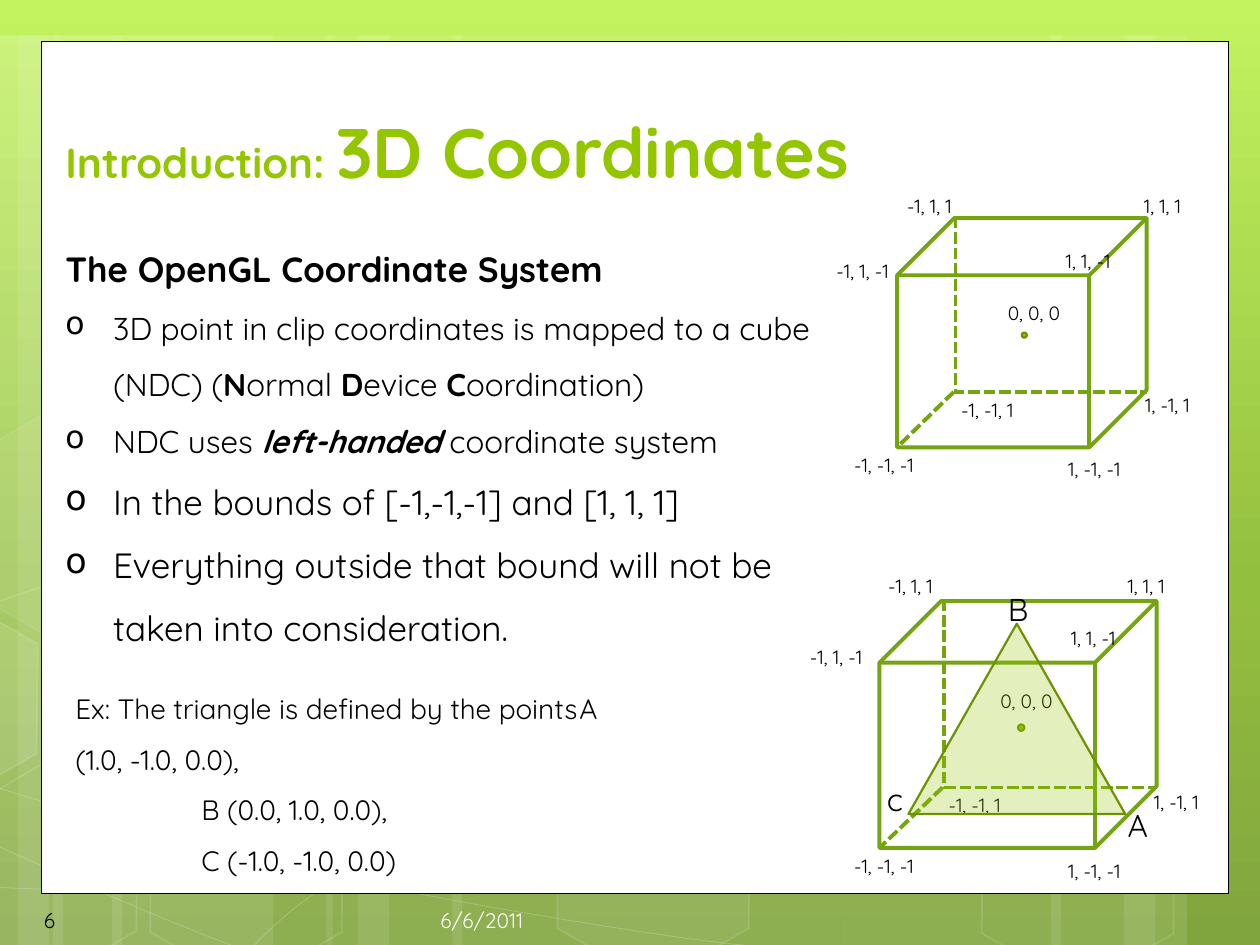
import copy
from dataclasses import dataclass
from typing import Optional

import pptx
import pptx.dml.color
import pptx.enum.dml
import pptx.enum.shapes
import pptx.enum.text
import pptx.oxml.ns
import pptx.util
from pptx.util import Inches

COLORS = {
    "white": "FFFFFF", "black": "000000", "date": "FEFEFE",
    "title": "94C600", "edge": "74A510", "outline": "6D9200",
    "sky": "C3F35F", "meadow": "93BF3F", "grass": "81A53E",
}
FONT = "Quicksand"
SHAPE = pptx.enum.shapes.MSO_SHAPE
CONNECTOR = pptx.enum.shapes.MSO_CONNECTOR
ANCHOR = pptx.enum.text.MSO_ANCHOR
ALIGN = pptx.enum.text.PP_ALIGN
SLIDE_W, SLIDE_H = 10, 7.5
STRIP_TOP = 0.28
HEX_W, HEX_H = 1.75, 1.52


@dataclass
class Run:
    text: str
    size: float
    bold: bool = False
    italic: bool = False
    color: str = "black"


@dataclass
class Para:
    runs: list[Run]
    bullet: bool = False
    spacing: Optional[float] = None
    align: Optional[int] = None


@dataclass
class Hexagon:
    left: float
    top: float
    fill_alpha: Optional[int] = None
    line_alpha: int = 12


@dataclass
class Label:
    text: str
    left: float
    top: float
    width: float
    size: float = 11


@dataclass
class Cube:
    left: float
    top: float
    width: float
    height: float
    back_corner: tuple[float, float]
    origin: tuple[float, float, float]
    labels: list[Label]
    triangle: Optional[tuple[float, float, float, float]] = None
    front_labels: tuple[Label, ...] = ()


def rgb(name: str) -> pptx.dml.color.RGBColor:
    return pptx.dml.color.RGBColor.from_string(COLORS[name])


def add_child(parent, tag: str, **attributes: str):
    child = parent.makeelement(pptx.oxml.ns.qn(tag), attributes)
    parent.append(child)
    return child


def set_alpha(shape, where: str, percent: int) -> None:
    color = shape._element.spPr.xpath(f"{where}a:solidFill/a:srgbClr")[0]
    add_child(color, "a:alpha", val=str(percent * 1000))


def paint(shape, fill: Optional[str] = None, line: Optional[str] = None, width: float = 1,
          fill_alpha: int = 100, line_alpha: int = 100) -> None:
    shape.shadow.inherit = False
    if fill:
        shape.fill.solid()
        shape.fill.fore_color.rgb = rgb(fill)
        if fill_alpha < 100:
            set_alpha(shape, "./", fill_alpha)
    else:
        shape.fill.background()
    if line:
        shape.line.color.rgb = rgb(line)
        shape.line.width = pptx.util.Pt(width)
        if line_alpha < 100:
            set_alpha(shape, "./a:ln/", line_alpha)
    else:
        shape.line.fill.background()


def add_shape(shapes, kind: int, left: float, top: float, width: float, height: float):
    return shapes.add_shape(kind, Inches(left), Inches(top), Inches(width), Inches(height))


def add_outline(shapes, points: list[tuple[float, float]], close: bool):
    emu = [(Inches(x), Inches(y)) for x, y in points]
    builder = shapes.build_freeform(*emu[0])
    builder.add_line_segments(emu[1:], close=close)
    return builder.convert_to_shape()


def add_curve(shapes, knots: list[tuple[float, float]]):
    sp = add_outline(shapes, knots, False)
    outline = sp._element.spPr.xpath(".//a:path")[0]
    segments = outline.xpath("./a:lnTo")
    for i in range(0, len(segments), 3):
        bezier = add_child(outline, "a:cubicBezTo")
        for segment in segments[i:i + 3]:
            bezier.append(segment[0])
            outline.remove(segment)
    return sp


def add_text(shapes, left: float, top: float, width: float, height: float,
             paras: list[Para], anchor: int = ANCHOR.TOP) -> None:
    tf = shapes.add_textbox(Inches(left), Inches(top), Inches(width), Inches(height)).text_frame
    tf.word_wrap = True
    tf.vertical_anchor = anchor
    for i, para in enumerate(paras):
        p = tf.add_paragraph() if i else tf.paragraphs[0]
        p.line_spacing = para.spacing
        p.alignment = para.align
        pPr = p._p.get_or_add_pPr()
        pPr.set("defTabSz", str(Inches(1)))
        if para.bullet:
            pPr.set("marL", str(Inches(0.38)))
            pPr.set("indent", str(-Inches(0.38)))
            add_child(pPr, "a:buChar", char="o")
        for run in para.runs:
            r = p.add_run()
            r.text = run.text
            r.font.name, r.font.size = FONT, pptx.util.Pt(run.size)
            r.font.bold, r.font.italic = run.bold, run.italic
            r.font.color.rgb = rgb(run.color)


def add_label(shapes, label: Label) -> None:
    height = 0.36 if label.size > 11 else 0.26
    add_text(shapes, label.left, label.top, label.width, height,
             [Para([Run(label.text, label.size)])])


def add_hidden_edge(shapes, kind: int, x1: float, y1: float, x2: float, y2: float):
    c = shapes.add_connector(kind, Inches(x1), Inches(y1), Inches(x2), Inches(y2))
    c.line.color.rgb = rgb("edge")
    c.line.width = pptx.util.Pt(2.25)
    c.line.dash_style = pptx.enum.dml.MSO_LINE.SQUARE_DOT
    add_child(c._element.spPr, "a:effectLst")
    return c


def add_cube(s, cube: Cube) -> None:
    shapes = s.shapes.add_group_shape().shapes
    paint(add_shape(shapes, SHAPE.CUBE, cube.left, cube.top, cube.width, cube.height),
          line="edge", width=2.25)
    back_x, back_y = cube.back_corner
    back = add_hidden_edge(shapes, CONNECTOR.ELBOW, back_x, cube.top,
                           cube.left + cube.width, back_y)
    guides = back._element.spPr.xpath("./a:prstGeom/a:avLst")[0]
    add_child(guides, "a:gd", name="adj1", fmla="val 900")
    add_hidden_edge(shapes, CONNECTOR.STRAIGHT, back_x, back_y, cube.left, cube.top + cube.height)
    for label in cube.labels:
        add_label(shapes, label)
    x, y, size = cube.origin
    paint(add_shape(shapes, SHAPE.OVAL, x, y, size, size), "title", "outline", 1.25)
    if cube.triangle:
        paint(add_shape(shapes, SHAPE.ISOSCELES_TRIANGLE, *cube.triangle),
              "title", "outline", 1.25, fill_alpha=26)
    for label in cube.front_labels:
        add_label(shapes, label)


STRIPS = [(0.42, 1.75), (0, 0.5), (0.89, 1.75), (0, 0.39), (0.14, 0.83), (6.67, 1.75),
          (8.92, 0.5), (8.34, 0.83), (3.59, 3.08), (2.59, 0.5), (2.84, 0.83)]
CURVES = [
    [(-0.59, 7.01), (-0.05, 7.04), (0.49, 7.08), (1.24, 7.06), (1.99, 7.05), (2.92, 7.03),
     (3.92, 6.93), (4.92, 6.83), (6.34, 6.64), (7.26, 6.45), (8.17, 6.26), (9.11, 5.96), (9.41, 5.79)],
    [(-0.59, 5.05), (-0.3, 4.9), (-0.01, 4.74), (0.55, 4.6), (1.12, 4.45), (1.93, 4.23),
     (2.81, 4.15), (3.7, 4.08), (4.78, 4.08), (5.88, 4.15), (6.98, 4.23), (8.81, 4.54), (9.41, 4.62)],
    [(-0.6, 6.45), (0.61, 7), (1.81, 7.55), (2.68, 7.78)],
    [(-0.59, 6.06), (-0.28, 6.17), (0.04, 6.28), (0.62, 6.44), (1.2, 6.6), (2.07, 6.84),
     (2.9, 7.01), (3.74, 7.18), (4.79, 7.36), (5.62, 7.47), (6.45, 7.57), (7.34, 7.61),
     (7.87, 7.65), (8.39, 7.68), (8.53, 7.66), (8.79, 7.66), (9.05, 7.66), (9.23, 7.64), (9.41, 7.62)],
    [(1.76, 7.78), (1.94, 7.58), (2.12, 7.38), (2.36, 7.19), (2.6, 7.01), (2.94, 6.81),
     (3.22, 6.67), (3.5, 6.54), (3.67, 6.48), (4.03, 6.37), (4.4, 6.27), (5.07, 6.13),
     (5.42, 6.06), (5.78, 6), (5.83, 6), (6.14, 5.97), (6.45, 5.95), (6.94, 5.92),
     (7.28, 5.91), (7.63, 5.9), (8.8, 5.9), (9.4, 5.95)],
]
HEXAGONS = [Hexagon(4.31, 6.17, 6), Hexagon(-0.55, 6.19), Hexagon(-0.52, 3.4, 7, 8),
            Hexagon(1.08, 6.2), Hexagon(7.68, 6.21)]
CUT_HEXAGON = [(-0.58, 4.73), (-0.47, 4.67), (0.3, 5.11), (0.29, 5.98), (-0.46, 6.42), (-0.58, 6.36)]
CUBES = [
    Cube(7.12, 1.73, 1.98, 1.82, (7.57, 3.11), (8.11, 2.64, 0.04), [
        Label("-1, -1, -1", 6.68, 3.55, 0.78), Label("1, -1, -1", 8.38, 3.58, 0.86),
        Label("1, -1, 1", 8.99, 3.07, 0.84), Label("-1, -1, 1", 7.53, 3.11, 0.75),
        Label("-1, 1, -1", 6.54, 2.01, 0.78), Label("-1, 1, 1", 7.1, 1.49, 0.81),
        Label("1, 1, 1", 8.98, 1.49, 0.85), Label("0, 0, 0", 7.9, 2.34, 0.86),
        Label("1, 1, -1", 8.36, 1.93, 0.74)]),
    Cube(6.98, 4.77, 2.2, 1.96, (7.48, 6.25), (8.08, 5.75, 0.05), [
        Label("-1, -1, -1", 6.68, 6.73, 1.04), Label("1, -1, -1", 8.38, 6.77, 0.96),
        Label("1, -1, 1", 9.06, 6.22, 0.86), Label("-1, -1, 1", 7.43, 6.25, 0.84),
        Label("-1, 1, -1", 6.33, 5.07, 0.9), Label("-1, 1, 1", 6.95, 4.51, 0.89),
        Label("1, 1, 1", 8.85, 4.51, 0.88), Label("0, 0, 0", 7.84, 5.42, 0.68)],
        (7.21, 4.95, 1.72, 1.51),
        (Label("A", 8.85, 6.35, 0.25, 18), Label("B", 7.9, 4.63, 0.52, 18),
         Label("c", 6.94, 6.14, 0.34, 18), Label("1, 1, -1", 8.4, 4.92, 0.75))),
]
BODY = [
    Para([Run("The OpenGL Coordinate System", 20, True)], spacing=1.5),
    Para([Run("3D point in clip coordinates is mapped to a cube (NDC) (", 18), Run("N", 18, True),
          Run("ormal ", 18), Run("D", 18, True), Run("evice ", 18), Run("C", 18, True),
          Run("oordination)", 18)], True, 1.5),
    Para([Run("NDC uses ", 18), Run("left-handed", 18, True, True),
          Run(" coordinate system", 18)], True, 1.5),
    Para([Run("In the bounds of [-1,-1,-1] and [1, 1, 1]", 20)], True, 1.5),
    Para([Run("Everything outside that bound will not be taken into consideration.", 20)], True, 1.5),
]
EXAMPLE = ["Ex: The triangle is defined by the points\tA (1.0, -1.0, 0.0),",
           "\tB (0.0, 1.0, 0.0),", "\tC (-1.0, -1.0, 0.0)"]


def add_background(s) -> None:
    fill = s.background.fill
    fill.gradient()
    fill.gradient_angle = 270
    stops = next(s._element.iter(pptx.oxml.ns.qn("a:gsLst")))
    stops.append(copy.deepcopy(stops[0]))
    for stop, (position, color) in zip(fill.gradient_stops,
                                       [(0, "sky"), (0.62, "meadow"), (1, "grass")]):
        stop.position = position
        stop.color.rgb = rgb(color)
    shapes = s.shapes.add_group_shape().shapes
    for left, width in STRIPS:
        paint(add_shape(shapes, SHAPE.RECTANGLE, left, STRIP_TOP, width, SLIDE_H - STRIP_TOP),
              "white", fill_alpha=10)
    for knots in CURVES:
        paint(add_curve(shapes, knots), line="white", width=0.5, line_alpha=20)
    for h in HEXAGONS:
        sp = add_shape(shapes, SHAPE.HEXAGON, h.left, h.top, HEX_W, HEX_H)
        sp.adjustments[0] = 0.285
        sp.rotation = 30
        paint(sp, "white" if h.fill_alpha else None, "white", 1, h.fill_alpha or 100, h.line_alpha)
    paint(add_outline(shapes, CUT_HEXAGON, True), "white", "white", 1, 10, 12)
    paint(add_shape(s.shapes, SHAPE.RECTANGLE, 0.33, 0.33, 9.42, 6.76), "white", "black", 0.5)


def main() -> None:
    prs = pptx.Presentation()
    prs.slide_width, prs.slide_height = Inches(SLIDE_W), Inches(SLIDE_H)
    s = prs.slides.add_slide(prs.slide_layouts[6])
    add_background(s)
    add_text(s.shapes, 0.42, 0.33, 9.25, 1.25,
             [Para([Run("Introduction: ", 24, True, color="title"),
                    Run("3D Coordinates", 40, True, color="title")])], ANCHOR.BOTTOM)
    add_text(s.shapes, 0.5, 5.31, 4.75, 1.72,
             [Para([Run(line, 16)], spacing=1.5) for line in EXAMPLE])
    add_text(s.shapes, 0.42, 1.75, 6.26, 3.48, BODY)
    add_text(s.shapes, 0.25, 7.1, 1.46, 0.4, [Para([Run("6", 12)])], ANCHOR.MIDDLE)
    add_text(s.shapes, 1.92, 7.1, 2.33, 0.4,
             [Para([Run("6/6/2011", 12, color="date")], align=ALIGN.RIGHT)], ANCHOR.MIDDLE)
    for cube in CUBES:
        add_cube(s, cube)
    prs.save("out.pptx")


if __name__ == "__main__":
    main()
